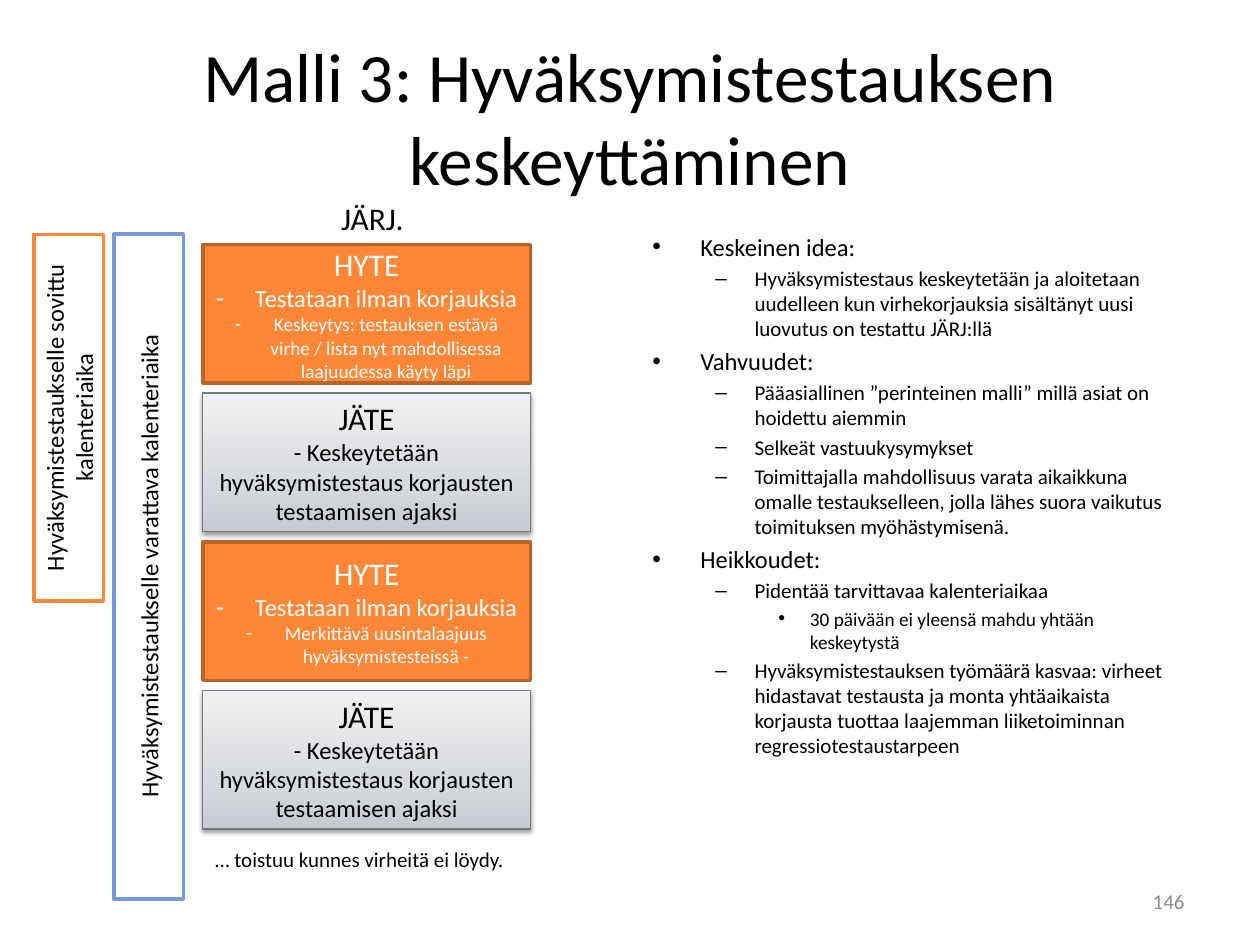
from lxml import etree
from pptx import Presentation
from pptx.dml.color import RGBColor
from pptx.enum import shapes, text
from pptx.oxml import ns
from pptx.util import Inches, Pt

BLACK = RGBColor(0, 0, 0)
WHITE = RGBColor(255, 255, 255)
GREY = RGBColor(0x8C, 0x8C, 0x8C)
ORANGE = RGBColor(0xFE, 0x86, 0x37)
BROWN = RGBColor(0xBC, 0x63, 0x29)
BLUE = RGBColor(0x75, 0x98, 0xD9)
SLATE = RGBColor(0x74, 0x79, 0x81)
STOPS = [(0, "C7CBD1"), (35, "D7DADE"), (100, "F0F1F3")]
LEFT, MID, RIGHT = text.PP_ALIGN.LEFT, text.PP_ALIGN.CENTER, text.PP_ALIGN.RIGHT

TITLE = "Malli 3: Hyväksymistestauksen keskeyttäminen"
IDEAS = [
    (0, "Keskeinen idea:"),
    (1, "Hyväksymistestaus keskeytetään ja aloitetaan uudelleen kun virhekorjauksia "
        "sisältänyt uusi luovutus on testattu JÄRJ:llä"),
    (0, "Vahvuudet:"),
    (1, "Pääasiallinen ”perinteinen malli” millä asiat on hoidettu aiemmin"),
    (1, "Selkeät vastuukysymykset"),
    (1, "Toimittajalla mahdollisuus varata aikaikkuna omalle testaukselleen, "
        "jolla lähes suora vaikutus toimituksen myöhästymisenä."),
    (0, "Heikkoudet:"),
    (1, "Pidentää tarvittavaa kalenteriaikaa"),
    (2, "30 päivään ei yleensä mahdu yhtään keskeytystä"),
    (1, "Hyväksymistestauksen työmäärä kasvaa: virheet hidastavat testausta ja monta "
        "yhtäaikaista korjausta tuottaa laajemman liiketoiminnan regressiotestaustarpeen"),
]
LEVELS = [(14, "•", 0.38, 0.38), (12, "–", 0.81, 0.31), (11, "•", 1.25, 0.25)]
PAUSE = ("JÄTE", "- Keskeytetään hyväksymistestaus korjausten testaamisen ajaksi")
STEPS = [
    ("HYTE", "Testataan ilman korjauksia",
     "Keskeytys: testauksen estävä virhe / lista nyt mahdollisessa laajuudessa käyty läpi"),
    PAUSE,
    ("HYTE", "Testataan ilman korjauksia", "Merkittävä uusintalaajuus hyväksymistesteissä -"),
    PAUSE,
]
SIZES = [18, 14, 11]
STEP_X, STEP_Y, STEP_W, STEP_H, PITCH = 1.61, 1.94, 2.6, 1.1, 1.18
SPANS = [
    ("Hyväksymistestaukselle sovittu kalenteriaika", (-0.91, 3.04, 2.91, 0.55), ORANGE),
    ("Hyväksymistestaukselle varattava kalenteriaika", (-1.46, 4.22, 5.28, 0.55), BLUE),
]
LABELS = [
    ("… toistuu kunnes virheitä ei löydy.", (1.61, 6.67, 2.6, 0.3), 12, BLACK, LEFT),
    ("JÄRJ.", (2.56, 1.53, 0.79, 0.4), 18, BLACK, MID),
    ("146", (7.17, 6.95, 2.33, 0.4), 12, GREY, RIGHT),
]


def place(box):
    return [Inches(v) for v in box]


def node(up, tag, **attrs):
    return etree.SubElement(up, ns.qn("a:" + tag), {k: str(v) for k, v in attrs.items()})


def write(para, words, size, color, align, mark=None, left=0, hang=0):
    para.text = words
    para.alignment = align
    if mark:
        props = para._p.get_or_add_pPr()
        props.set("marL", str(Inches(left)))
        props.set("indent", str(-Inches(hang)))
        node(props, "buFont", typeface="Arial")
        node(props, "buChar", char=mark)
    para.font.name = "Calibri"
    para.font.size = Pt(size)
    para.font.color.rgb = color


def line(frame, num):
    return frame.add_paragraph() if num else frame.paragraphs[0]


def block(box, fill, edge, width):
    shape = slide.shapes.add_shape(shapes.MSO_SHAPE.RECTANGLE, *place(box))
    shape.shadow.inherit = False
    if fill is not None:
        shape.fill.solid()
        shape.fill.fore_color.rgb = fill
    shape.line.color.rgb = edge
    shape.line.width = Pt(width)
    shape.text_frame.word_wrap = True
    shape.text_frame.vertical_anchor = text.MSO_ANCHOR.MIDDLE
    return shape


def shade(shape):
    shape.fill.gradient()
    grad = shape._element.spPr.find(ns.qn("a:gradFill"))
    for child in list(grad):
        grad.remove(child)
    stops = node(grad, "gsLst")
    for pos, color in STOPS:
        node(node(stops, "gs", pos=pos * 1000), "srgbClr", val=color)
    node(grad, "lin", ang=270 * 60000, scaled=0)
    glow = shape._element.spPr.find(ns.qn("a:effectLst"))
    cast = node(glow, "outerShdw", blurRad=Pt(3.1), dist=Pt(1.6), dir=90 * 60000, rotWithShape=0)
    node(node(cast, "srgbClr", val="000000"), "alpha", val=38000)


def label(box):
    frame = slide.shapes.add_textbox(*place(box)).text_frame
    frame.word_wrap = True
    return frame


deck = Presentation()
deck.slide_width, deck.slide_height = Inches(10), Inches(7.5)
slide = deck.slides.add_slide(deck.slide_layouts[5])

title = slide.shapes.title
title.left, title.top, title.width, title.height = place((0.5, 0.3, 9, 1.25))
title.text_frame.vertical_anchor = text.MSO_ANCHOR.MIDDLE
write(title.text_frame.paragraphs[0], TITLE, 39.6, BLACK, MID)

frame = label((5.08, 1.79, 4.42, 4.95))
for num, (level, words) in enumerate(IDEAS):
    para = line(frame, num)
    para.level = level
    size, mark, left, hang = LEVELS[level]
    write(para, words, size, BLACK, LEFT, mark, left, hang)
    if num:
        para.space_before = Pt(size * 0.2)

for row, step in enumerate(STEPS):
    box = (STEP_X, STEP_Y + row * PITCH, STEP_W, STEP_H)
    test = step[0] == "HYTE"
    if test:
        shape = block(box, ORANGE, BROWN, 2)
    else:
        shape = block(box, None, SLATE, 0.75)
        shade(shape)
    for num, words in enumerate(step):
        mark = "-" if test and num else None
        write(line(shape.text_frame, num), words, SIZES[num],
              WHITE if test else BLACK, MID, mark, 0.31, 0.31)

for words, box, edge in SPANS:
    shape = block(box, WHITE, edge, 2)
    shape.rotation = 270
    write(shape.text_frame.paragraphs[0], words, 14, BLACK, MID)

for words, box, size, color, align in LABELS:
    frame = label(box)
    frame.vertical_anchor = text.MSO_ANCHOR.MIDDLE
    write(frame.paragraphs[0], words, size, color, align)

deck.save("out.pptx")
